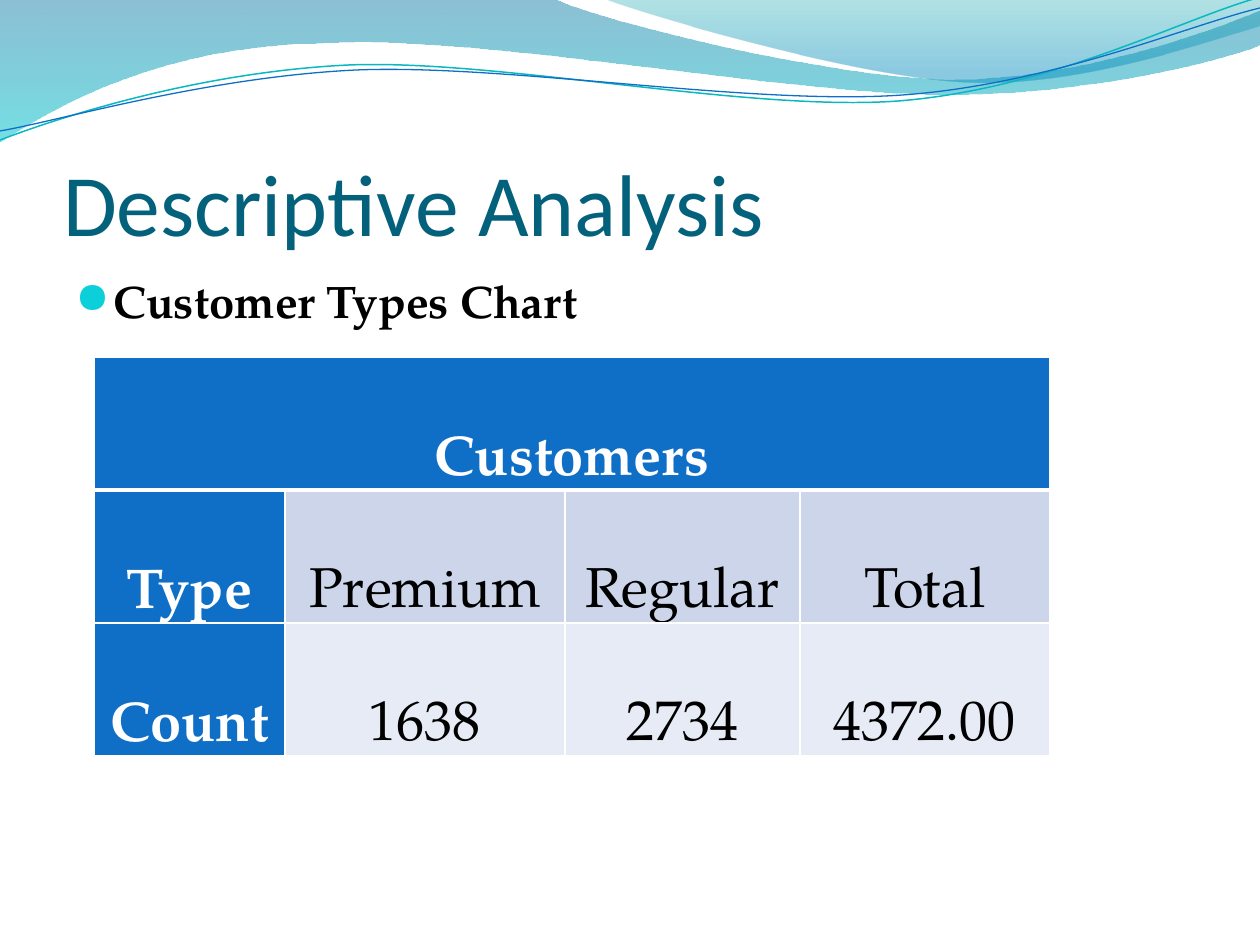
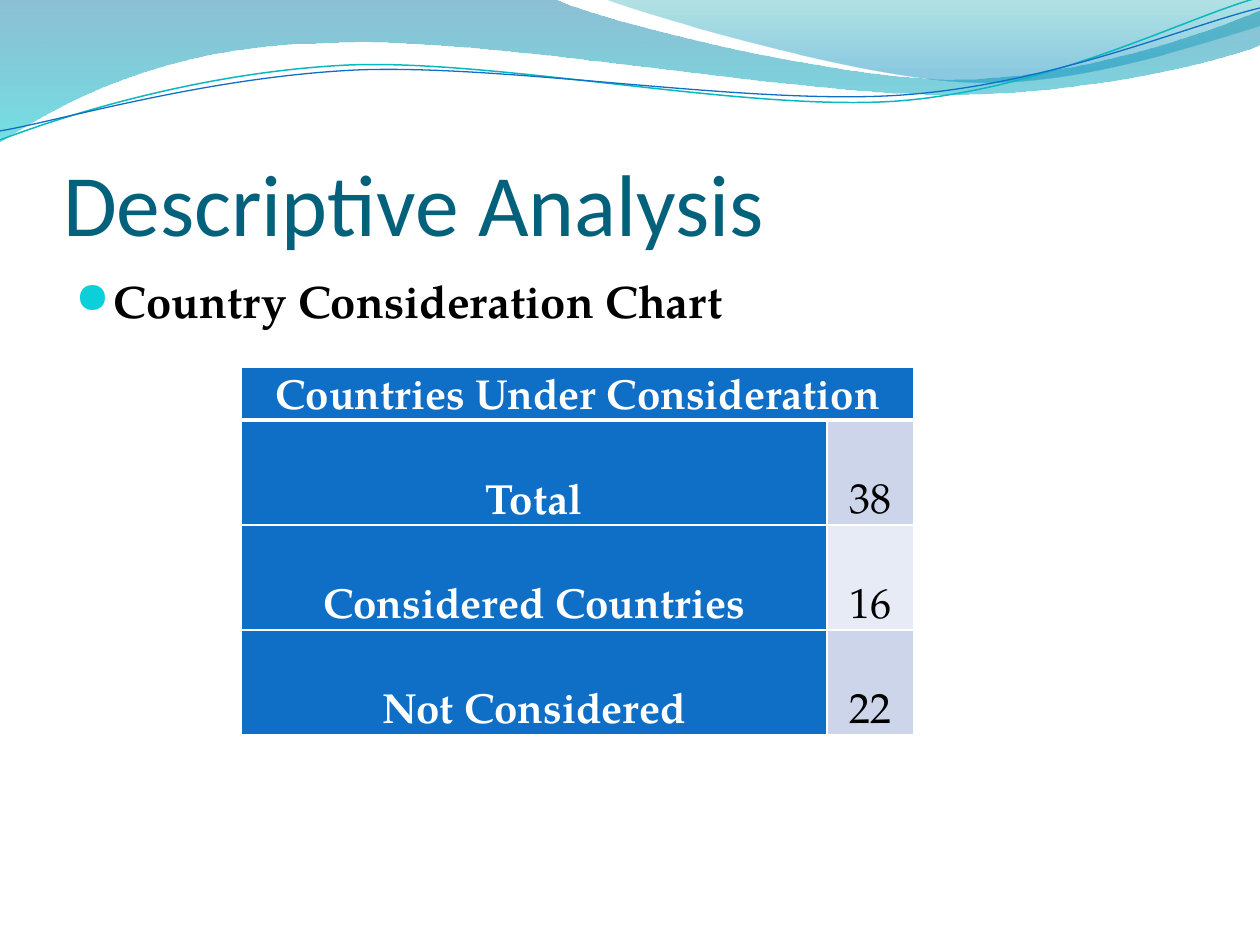
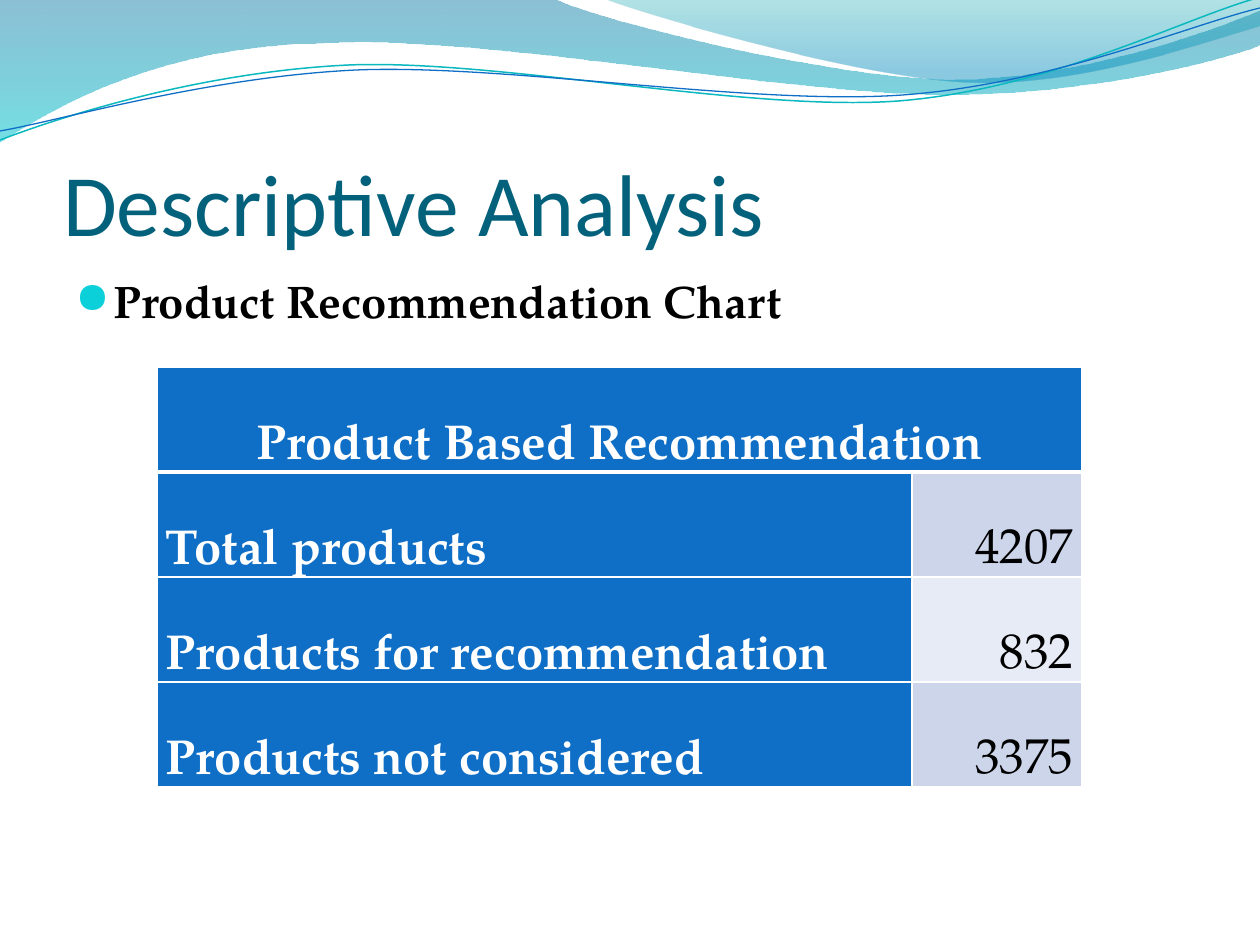
from lxml import etree
from pptx import Presentation
from pptx.dml.color import RGBColor
from pptx.enum.text import MSO_ANCHOR, MSO_AUTO_SIZE, PP_ALIGN
from pptx.oxml.ns import qn
from pptx.util import Pt

PX = 914400 / 126
LEFT, CENTER, RIGHT = PP_ALIGN.LEFT, PP_ALIGN.CENTER, PP_ALIGN.RIGHT
BOTTOM, NO_AUTOFIT = MSO_ANCHOR.BOTTOM, MSO_AUTO_SIZE.NONE
TITLE_FONT, BODY_FONT, BULLET_FONT = "Calibri", "TeX Gyre Pagella", "OpenSymbol"
TITLE_ONLY = 5
COLORS = {
    "title": "04617B", "text": "000000", "white": "FFFFFF", "bullet": "0BD0D9",
    "header": "0F6FC6", "band_dark": "CCD5EA", "band_light": "E7EBF5",
    "deep": "0074A1", "cyan": "00C6CF", "teal": "00A1A9", "sky": "008BBF",
    "teal_line": "0AB8BF", "blue_line": "0F6FC6",
}

WIDE_WAVE = [
    (0, 0), (554, -1), (600, 21, 837, 79, 955, 79), (1075, 79, 1207, 33, 1260, 11),
    (1261, 45), (1239, 55, 1096, 96, 940, 94), (784, 94, 481, 35, 324, 43),
    (163, 45, 58, 105, -1, 142), (0, 0),
]
RIGHT_WAVE = [
    (604, -1), (641, 14, 859, 78, 969, 82), (1079, 87, 1211, 40, 1260, 26),
    (1260, 0), (604, -1),
]
TEAL_CURVE = [
    (0, 140), (60, 117, 199, 72, 349, 65), (498, 59, 747, 112, 898, 101),
    (1050, 89, 1182, 19, 1257, -2),
]
BLUE_CURVE = [
    (0, 131), (59, 121, 207, 77, 357, 70), (508, 64, 752, 106, 903, 95),
    (1053, 84, 1186, 26, 1260, 8),
]


def px(length):
    """Turn px into EMU."""
    return round(length * PX)


def rgb(name):
    """Look up a named colour."""
    return RGBColor.from_string(COLORS[name])


def style_font(paragraph, face, size, color, bold=False):
    """Format every run of a paragraph."""
    for run in paragraph.runs:
        run.font.name, run.font.size, run.font.bold = face, Pt(size), bold
        run.font.color.rgb = rgb(color)


def add_outline(slide, steps, close):
    """Build a freeform whose six-number steps are cubic curves."""
    start, *rest = steps
    points = [(px(step[i]), px(step[i + 1])) for step in rest
              for i in range(0, len(step), 2)]
    builder = slide.shapes.build_freeform(px(start[0]), px(start[1]))
    builder.add_line_segments(points, close=close)
    outline = builder.convert_to_shape()
    outline.shadow.inherit = False
    segments = iter(list(outline.element.spPr.iter(qn("a:lnTo"))))
    for step in rest:
        segment = next(segments)
        if len(step) == 6:
            segment.tag = qn("a:cubicBezTo")
            for _ in range(2):
                extra = next(segments)
                segment.append(extra[0])
                extra.getparent().remove(extra)
    return outline


def add_wave(slide, steps, stops):
    """Add a wave with a translucent vertical gradient."""
    wave = add_outline(slide, steps, True)
    wave.line.fill.background()
    wave.fill.gradient()
    wave.fill.gradient_angle = 270
    for stop, (position, color, _) in zip(wave.fill.gradient_stops, stops):
        stop.position = position
        stop.color.rgb = rgb(color)
    tints = wave.element.spPr.iter(qn("a:srgbClr"))
    for tint, (_, _, opacity) in zip(list(tints), stops):
        etree.SubElement(tint, qn("a:alpha"), val=str(opacity * 1000))
    return wave


def add_curve(slide, steps, color, width):
    """Add a thin curved line."""
    curve = add_outline(slide, steps, False)
    curve.fill.background()
    curve.line.color.rgb = rgb(color)
    curve.line.width = Pt(width)
    return curve


def add_band(slide):
    """Draw the wave band and hand it to the layout that all slides share."""
    band = [
        add_wave(slide, WIDE_WAVE, [(0, "deep", 45), (1, "cyan", 55)]),
        add_wave(slide, RIGHT_WAVE, [(0, "teal", 30), (0.8, "sky", 45)]),
        add_curve(slide, TEAL_CURVE, "teal_line", 0.85),
        add_curve(slide, BLUE_CURVE, "blue_line", 0.75),
    ]
    for number, part in enumerate(band, 20):
        part.element.nvSpPr.cNvPr.set("id", str(number))
        slide.slide_layout.shapes.element.append(part.element)


def set_title(slide, text):
    """Place and format the slide title."""
    title = slide.shapes.title
    title.left, title.top, title.width, title.height = map(px, (63, 97, 1134, 157))
    frame = title.text_frame
    frame.text = text
    frame.word_wrap, frame.auto_size, frame.vertical_anchor = True, NO_AUTOFIT, BOTTOM
    frame.margin_left = frame.margin_right = frame.margin_bottom = 0
    frame.margin_top = px(6)
    frame.paragraphs[0].alignment = LEFT
    style_font(frame.paragraphs[0], TITLE_FONT, 50, "title")


def add_bullet(slide, text):
    """Add the bulleted heading above the table."""
    frame = slide.shapes.add_textbox(*map(px, (63, 267, 1134, 605))).text_frame
    frame.word_wrap = True
    frame.text = text
    heading = frame.paragraphs[0]
    properties = heading._p.get_or_add_pPr()
    properties.set("marL", str(px(38)))
    properties.set("indent", str(px(-38)))
    color = etree.SubElement(properties, qn("a:buClr"))
    etree.SubElement(color, qn("a:srgbClr"), val=COLORS["bullet"])
    etree.SubElement(properties, qn("a:buSzPct"), val="95000")
    etree.SubElement(properties, qn("a:buFont"), typeface=BULLET_FONT)
    etree.SubElement(properties, qn("a:buChar"), char="●")
    style_font(heading, BODY_FONT, 26, "text", True)


def add_borders(cell, top, bottom):
    """Give a cell white borders, with widths in points."""
    properties = cell._tc.get_or_add_tcPr()
    for side, width in (("L", 1), ("R", 1), ("T", top), ("B", bottom)):
        border = etree.SubElement(properties, qn("a:ln" + side), w=str(Pt(width)))
        fill = etree.SubElement(border, qn("a:solidFill"))
        etree.SubElement(fill, qn("a:srgbClr"), val=COLORS["white"])


def fill_cell(cell, text, row, column, size, alignment, spacing):
    """Write and format one table cell."""
    is_header = row == 0 or column == 0
    add_borders(cell, 3 if row == 1 else 1, 3 if row == 0 else 1)
    cell.fill.solid()
    band = "band_dark" if row % 2 else "band_light"
    cell.fill.fore_color.rgb = rgb("header" if is_header else band)
    cell.margin_left = cell.margin_right = px(9)
    cell.margin_top = cell.margin_bottom = 0
    cell.vertical_anchor = BOTTOM
    cell.text_frame.text = text
    paragraph = cell.text_frame.paragraphs[0]
    paragraph.alignment = alignment
    paragraph.line_spacing = spacing
    style_font(paragraph, BODY_FONT, size, "white" if is_header else "text", is_header)


def add_count_table(slide, corner, widths, heights, heading, rows, size,
                    label_align=CENTER, value_align=CENTER, heading_spacing=1.15):
    """Add a table with a heading across the top and labels on the left."""
    place = (*corner, sum(widths), sum(heights))
    table = slide.shapes.add_table(len(heights), len(widths), *map(px, place)).table
    for column, width in zip(table.columns, widths):
        column.width = px(width)
    for line, height in zip(table.rows, heights):
        line.height = px(height)
    table.cell(0, 0).merge(table.cell(0, len(widths) - 1))
    heading_row = [heading] + [""] * (len(widths) - 1)
    for row, texts in enumerate([heading_row, *rows]):
        for column, text in enumerate(texts):
            body_align = value_align if column else label_align
            fill_cell(table.cell(row, column), text, row, column, size,
                      body_align if row else CENTER, 1.15 if row else heading_spacing)


def main():
    """Build the three slides."""
    deck = Presentation()
    deck.slide_width, deck.slide_height = px(1260), px(945)
    headings = ["Customer Types Chart", "Country Consideration Chart",
                "Product Recommendation Chart"]
    slides = [deck.slides.add_slide(deck.slide_layouts[TITLE_ONLY]) for _ in headings]
    add_band(slides[0])
    for slide, heading in zip(slides, headings):
        set_title(slide, "Descriptive Analysis")
        add_bullet(slide, heading)
    customers, countries, products = slides
    add_count_table(customers, (94, 357), [191, 280, 235, 250], [133] * 3, "Customers",
                    [["Type", "Premium", "Regular", "Total"],
                     ["Count", "1638", "2734", "4372.00"]], 32)
    add_count_table(countries, (241, 367), [586, 87], [53] + [105] * 3,
                    "Countries Under Consideration",
                    [["Total", "38"], ["Considered Countries", "16"],
                     ["Not Considered", "22"]], 24, heading_spacing=1.0)
    add_count_table(products, (157, 367), [755, 170], [105] * 4,
                    "Product Based Recommendation",
                    [["Total products", "4207"], ["Products for recommendation", "832"],
                     ["Products not considered", "3375"]], 28, LEFT, RIGHT)
    deck.save("out.pptx")


if __name__ == "__main__":
    main()
